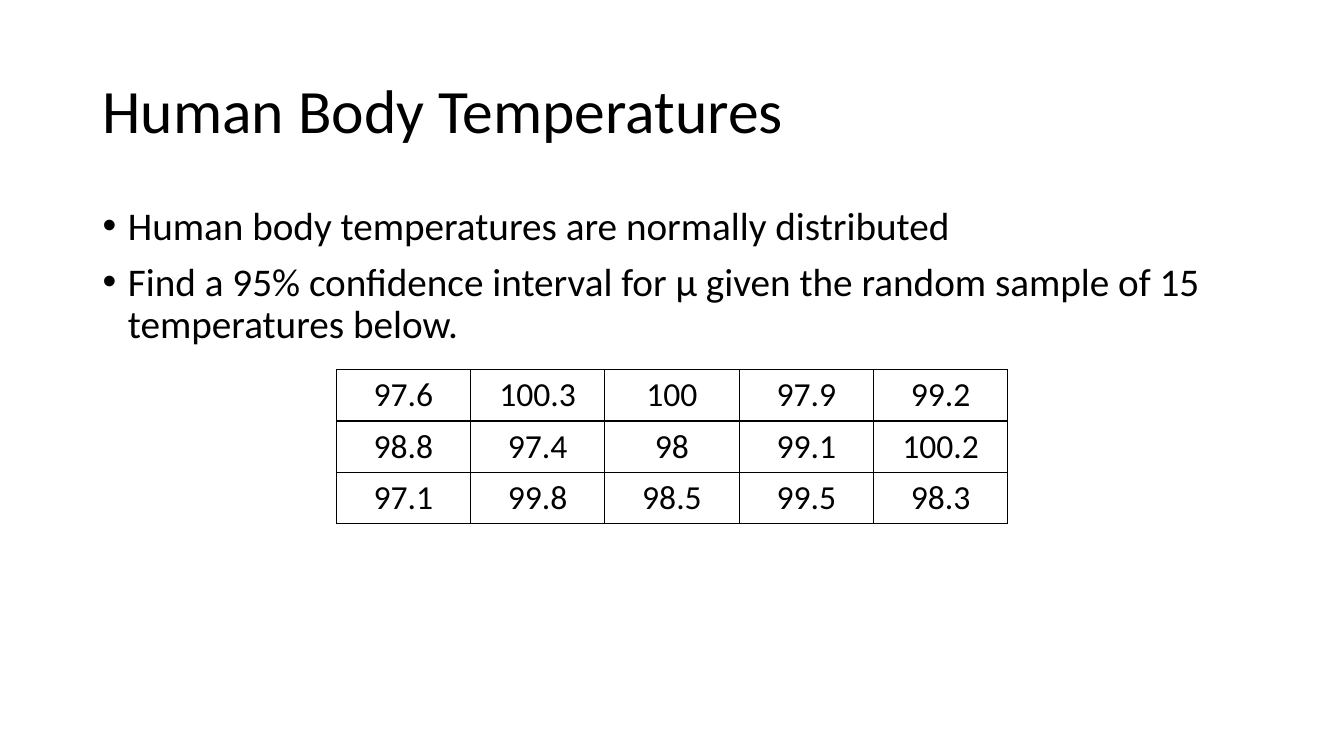
from dataclasses import dataclass

from lxml import etree
from pptx import Presentation
from pptx import util as u
from pptx.dml import color
from pptx.enum import text
from pptx.oxml import ns

COLORS = {"ink": "000000"}
FONT = "Calibri"


@dataclass
class Box:
    """Position and size in centimetres."""
    left: float
    top: float
    width: float
    height: float


@dataclass
class TextStyle:
    size: float
    align: text.PP_ALIGN


HEADING = TextStyle(44, text.PP_ALIGN.LEFT)
BULLET = TextStyle(28, text.PP_ALIGN.LEFT)
READING = TextStyle(24, text.PP_ALIGN.CENTER)

TASKS = [
    "Human body temperatures are normally distributed",
    "Find a 95% confidence interval for µ given the random sample "
    "of 15 temperatures below.",
]
TEMPERATURES = [
    ["97.6", "100.3", "100", "97.9", "99.2"],
    ["98.8", "97.4", "98", "99.1", "100.2"],
    ["97.1", "99.8", "98.5", "99.5", "98.3"],
]


def place(shape, box: Box) -> None:
    shape.left, shape.top = u.Cm(box.left), u.Cm(box.top)
    shape.width, shape.height = u.Cm(box.width), u.Cm(box.height)


def style_paragraph(paragraph, style: TextStyle) -> None:
    paragraph.alignment = style.align
    paragraph.font.name = FONT
    paragraph.font.size = u.Pt(style.size)
    paragraph.font.color.rgb = color.RGBColor.from_string(COLORS["ink"])


def set_bullet(paragraph, indent: float) -> None:
    props = paragraph._p.get_or_add_pPr()
    props.set("marL", str(u.Cm(indent)))
    props.set("indent", str(-u.Cm(indent)))
    etree.SubElement(props, ns.qn("a:buFont")).set("typeface", "Arial")
    etree.SubElement(props, ns.qn("a:buChar")).set("char", "•")


def set_borders(cell, width: float) -> None:
    props = cell._tc.get_or_add_tcPr()
    for index, side in enumerate(("a:lnL", "a:lnR", "a:lnT", "a:lnB")):
        line = etree.Element(ns.qn(side), w=str(u.Pt(width)))
        fill = etree.SubElement(line, ns.qn("a:solidFill"))
        etree.SubElement(fill, ns.qn("a:srgbClr")).set("val", COLORS["ink"])
        props.insert(index, line)


def add_temperature_table(slide, rows: list[list[str]], box: Box) -> None:
    frame = slide.shapes.add_table(
        len(rows), len(rows[0]), u.Cm(box.left), u.Cm(box.top),
        u.Cm(box.width), u.Cm(box.height))
    grid = frame.table
    grid.first_row = grid.horz_banding = False
    for row, readings in zip(grid.rows, rows):
        for cell, reading in zip(row.cells, readings):
            cell.text = reading
            cell.fill.background()
            style_paragraph(cell.text_frame.paragraphs[0], READING)
            set_borders(cell, 1)


def main() -> None:
    deck = Presentation()
    deck.slide_width, deck.slide_height = u.Cm(33.87), u.Cm(19.05)
    slide = deck.slides.add_slide(deck.slide_layouts[1])

    # Title
    heading = slide.shapes.title
    place(heading, Box(2.33, 1.01, 29.21, 3.68))
    heading.text_frame.text = "Human Body Temperatures"
    heading.text_frame.vertical_anchor = text.MSO_ANCHOR.MIDDLE
    heading_line = heading.text_frame.paragraphs[0]
    heading_line.line_spacing = 0.9
    style_paragraph(heading_line, HEADING)

    # Task list
    tasks = slide.placeholders[1]
    place(tasks, Box(2.33, 5.07, 29.21, 12.09))
    tasks.text_frame.text = "\n".join(TASKS)
    for task in tasks.text_frame.paragraphs:
        style_paragraph(task, BULLET)
        task.line_spacing = 0.9
        task.space_before = u.Pt(10)
        set_bullet(task, 0.64)

    # Sample of temperatures
    add_temperature_table(slide, TEMPERATURES, Box(8.47, 9.32, 16.93, 3.87))

    deck.save("out.pptx")


if __name__ == "__main__":
    main()
